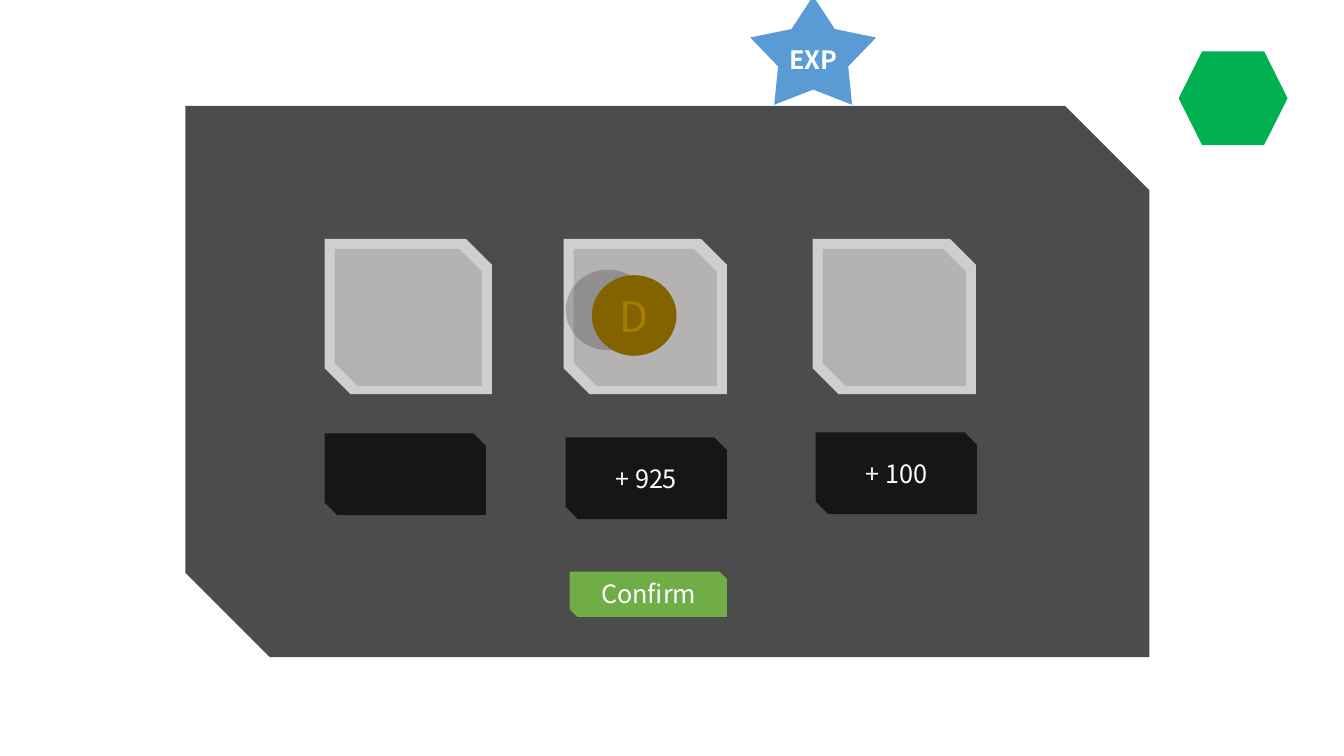
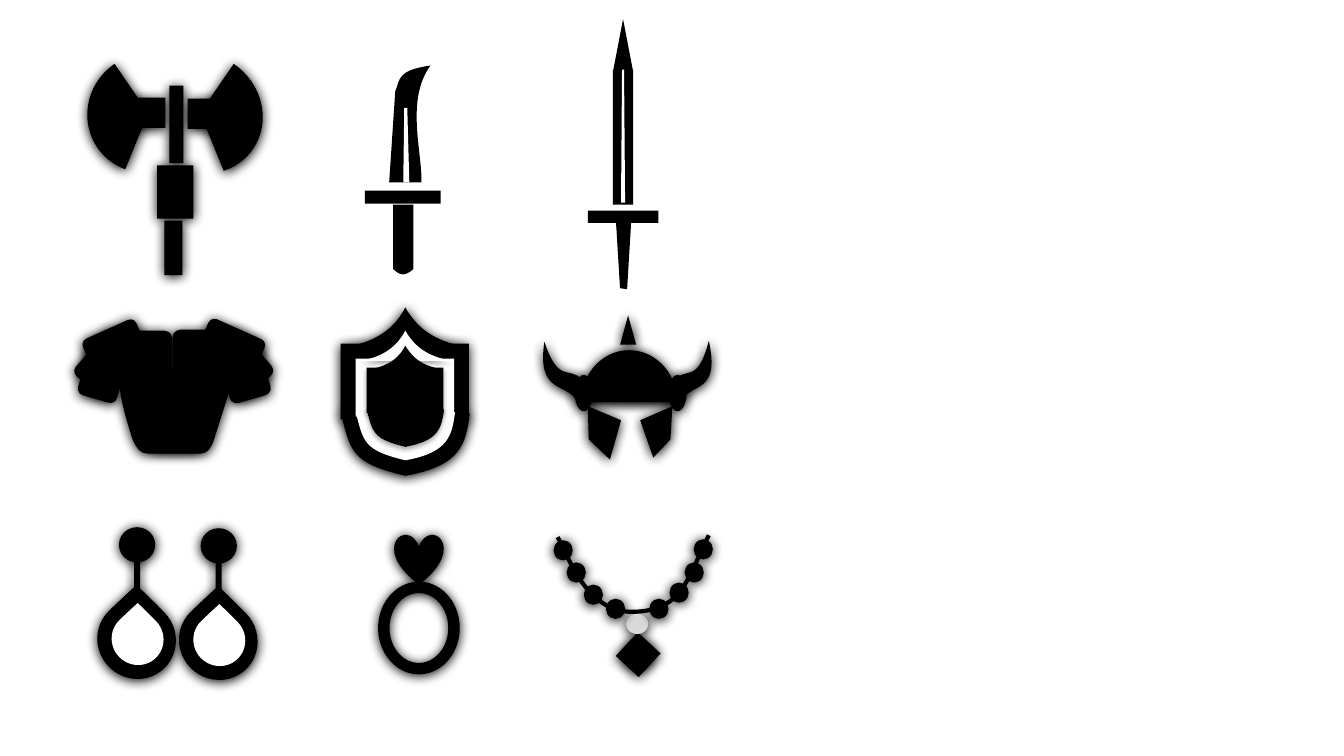
from dataclasses import dataclass
from math import cos, radians, sin

from lxml import etree
from pptx import Presentation
from pptx.dml.color import RGBColor
from pptx.enum.shapes import MSO_SHAPE
from pptx.enum.text import MSO_ANCHOR, PP_ALIGN
from pptx.oxml.ns import qn
from pptx.util import Cm, Pt

RECT = MSO_SHAPE.RECTANGLE
ROUND = MSO_SHAPE.ROUNDED_RECTANGLE
SNIP = MSO_SHAPE.SNIP_2_DIAG_RECTANGLE
OVAL = MSO_SHAPE.OVAL
PIE = MSO_SHAPE.PIE
SPIKE = MSO_SHAPE.ISOSCELES_TRIANGLE
DROP = MSO_SHAPE.TEAR
HEART = MSO_SHAPE.HEART
RING = MSO_SHAPE.DONUT
STAR = MSO_SHAPE.STAR_5_POINT
HEX = MSO_SHAPE.HEXAGON
CENTER = PP_ALIGN.CENTER
MIDDLE = MSO_ANCHOR.MIDDLE


@dataclass(frozen=True)
class Theme:
    font: str = "Noto Sans CJK KR"
    text: int = 18
    large: int = 30
    black: str = "000000"
    white: str = "FFFFFF"
    frame: str = "D0CECE"
    inner: str = "AFABAB"
    green: str = "70AD47"
    gem: str = "00B050"
    blue: str = "5B9BD5"
    coin: str = "826300"
    mark: str = "A47D00"
    pearl: str = "D9D9D9"
    glow: tuple = (100, 8.5, 1, 90)
    soft: tuple = (32, 3.5, 2.2, 90)
    cast: tuple = (20, 0, 19, 192)


THEME = Theme()


def inch(value):
    return Cm(value * 2.54)


def fade(color, alpha):
    etree.SubElement(color, qn("a:alpha"), val=str(alpha * 1000))


def style(shape, fill, glow=None, alpha=100):
    shape.line.fill.background()
    shape.fill.solid()
    shape.fill.fore_color.rgb = RGBColor.from_string(fill)
    props = shape.element.spPr
    if alpha < 100:
        fade(props.find(qn("a:solidFill")).find(qn("a:srgbClr")), alpha)
    shape.shadow.inherit = False
    if glow:
        depth, blur, gap, angle = glow
        cast = etree.SubElement(
            props.find(qn("a:effectLst")), qn("a:outerShdw"),
            blurRad=str(Pt(blur)), dist=str(Pt(gap)),
            dir=str(angle * 60000), algn="ctr", rotWithShape="0")
        color = etree.SubElement(cast, qn("a:srgbClr"), val=THEME.black)
        fade(color, depth)


def put(shapes, kind, box, fill=THEME.black, glow=None, alpha=100,
        adj=(), turn=0, flip=False):
    shape = shapes.add_shape(kind, *map(inch, box))
    style(shape, fill, glow, alpha)
    for index, value in enumerate(adj):
        shape.adjustments[index] = value
    shape.rotation = turn
    if flip:
        shape.element.spPr.find(qn("a:xfrm")).set("flipH", "1")
    return shape


def local(x, y, box, turn):
    left, top, wide, tall = box
    dx, dy = x - left - wide / 2, y - top - tall / 2
    c, s = cos(radians(turn)), sin(radians(turn))
    return wide / 2 + dx * c + dy * s, tall / 2 + dy * c - dx * s


def trace(shapes, box, start, steps, turn=0, close=True):
    left, top, wide, tall = map(inch, box)
    pen = shapes.build_freeform(left, top)
    pen.add_line_segments([(left + wide, top), (left + wide, top + tall),
                           (left, top + tall)])
    shape = pen.convert_to_shape()
    route = next(shape.element.iter(qn("a:path")))
    for node in list(route):
        route.remove(node)
    for index, step in enumerate([start, *steps]):
        tag = "a:cubicBezTo" if len(step) == 6 else "a:lnTo"
        node = etree.SubElement(route, qn(tag if index else "a:moveTo"))
        for x, y in zip(step[::2], step[1::2]):
            px, py = local(x, y, box, turn)
            etree.SubElement(node, qn("a:pt"), x=str(inch(px)), y=str(inch(py)))
    if close:
        etree.SubElement(route, qn("a:close"))
    shape.rotation = turn
    return shape


def carve(shapes, box, start, steps, fill=THEME.black, glow=None, turn=0):
    style(trace(shapes, box, start, steps, turn), fill, glow)


def label(shape, text, size=THEME.text, color=THEME.white, bold=False):
    frame = shape.text_frame
    frame.margin_left = frame.margin_right = 0
    frame.margin_top = frame.margin_bottom = 0
    frame.word_wrap = False
    frame.vertical_anchor = MIDDLE
    line = frame.paragraphs[0]
    line.alignment = CENTER
    run = line.add_run()
    run.text = text
    run.font.name = THEME.font
    run.font.size = Pt(size)
    run.font.bold = bold
    run.font.color.rgb = RGBColor.from_string(color)


def group(shapes):
    return shapes.add_group_shape().shapes


def card(shapes, left, wide):
    part = group(shapes)
    put(part, SNIP, (left, 2.37, wide, 1.54), THEME.frame)
    put(part, SNIP, (left + 0.1, 2.47, wide - 0.2, 1.36), THEME.inner, alpha=80)


def button(shapes):
    part = group(shapes)
    put(part, SNIP, (5.65, 5.67, 1.56, 0.45), THEME.green)
    label(put(part, SNIP, (5.75, 5.69, 1.37, 0.39), THEME.green), "Confirm")


def reward(shapes):
    put(shapes, SNIP, (1.84, 1.05, 9.56, 5.47), alpha=70, adj=(0, 0.153))
    for left, wide in ((3.22, 1.66), (5.59, 1.62), (8.06, 1.62)):
        card(shapes, left, wide)
    button(shapes)
    coin = put(shapes, OVAL, (5.87, 2.73, 0.84, 0.8), THEME.coin, THEME.cast)
    label(coin, "D", THEME.large, THEME.mark)
    put(shapes, HEX, (11.69, 0.51, 1.08, 0.93), THEME.gem)
    for left, top, text in ((3.22, 4.3, ""), (5.61, 4.34, "+ 925"),
                            (8.09, 4.29, "+ 100")):
        plate = put(shapes, SNIP, (left, top, 1.6, 0.81), alpha=70,
                    adj=(0, 0.153))
        if text:
            label(plate, text)
    star = put(shapes, STAR, (7.44, -0.04, 1.25, 1.08), THEME.blue, adj=(0.278,))
    label(star, "EXP", bold=True)


def axe(part):
    for box in ((1.29, 0.97, 0.35, 0.3), (1.86, 0.98, 0.35, 0.3),
                (1.68, 0.85, 0.14, 0.77), (1.56, 1.64, 0.36, 0.53),
                (1.63, 2.19, 0.18, 0.54)):
        put(part, RECT, box, glow=THEME.glow)
    for left, wide, turn, flip in ((0.86, 1.22, 325.6, False),
                                   (1.35, 1.27, 34.4, True)):
        put(part, PIE, (left, 0.53, wide, 1.18), glow=THEME.glow,
            adj=(87.94, 162), turn=turn, flip=flip)


def knife(part):
    carve(part, (3.86, 0.65, 0.41, 1.16), (3.92, 0.91),
          [(3.97, 0.78, 3.94, 0.7, 4.27, 0.65),
           (4.02, 0.99, 4.19, 1.51, 4.18, 1.81), (3.86, 1.81), (3.92, 0.91)])
    put(part, RECT, (3.93, 1.58, 0.13, 0.75), turn=270)
    carve(part, (3.9, 2.03, 0.2, 0.69), (3.9, 2.03),
          [(4.1, 2.03), (4.1, 2.67), (4.06, 2.7, 4, 2.77, 3.9, 2.67),
           (3.9, 2.03)])
    carve(part, (4, 1.07, 0.07, 0.74), (4.01, 1.07),
          [(4.04, 1.07), (4.06, 1.81), (4, 1.81), (4.01, 1.07)], THEME.white)


def sword(part):
    put(part, RECT, (6.12, 1.8, 0.12, 0.7), turn=90)
    carve(part, (6.11, 2.21, 0.15, 0.66), (6.11, 2.21),
          [(6.26, 2.21), (6.22, 2.87), (6.15, 2.86), (6.11, 2.21)])
    put(part, RECT, (6.08, 0.69, 0.2, 1.34))
    put(part, SPIKE, (6.08, 0.19, 0.2, 0.52))
    carve(part, (6.16, 0.69, 0.04, 1.32), (6.17, 0.69),
          [(6.19, 0.69), (6.2, 2.01), (6.16, 2.01), (6.17, 0.69)], THEME.white)


def armor(part):
    carve(part, (1.18, 3.68, 1.13, 0.83), (1.18, 3.74),
          [(1.18, 3.67, 1.39, 3.68, 1.46, 3.68), (1.99, 3.68),
           (2.06, 3.68, 2.31, 3.7, 2.31, 3.77), (2.12, 4.37),
           (2.09, 4.45, 2.06, 4.5, 1.99, 4.5), (1.46, 4.5),
           (1.39, 4.5, 1.36, 4.45, 1.32, 4.37),
           (1.26, 4.19, 1.18, 3.93, 1.18, 3.74)], glow=THEME.glow)
    for box, turn, flip in (((1.13, 3.28, 0.58, 0.49), 0, False),
                            ((1.71, 3.27, 0.62, 0.49), 0, False),
                            ((0.74, 3.48, 0.58, 0.4), 286.1, False),
                            ((0.76, 3.4, 0.58, 0.4), 310.8, False),
                            ((0.85, 3.25, 0.58, 0.38), 335.8, False),
                            ((2.13, 3.47, 0.58, 0.42), 73.9, True),
                            ((2.1, 3.39, 0.58, 0.42), 49.2, True),
                            ((1.99, 3.25, 0.61, 0.38), 24.2, True)):
        put(part, ROUND, box, glow=THEME.glow, turn=turn, flip=flip)
    for row, wide in enumerate((0.67, 0.59, 0.52, 0.45)):
        put(part, ROUND, (1.74 - wide / 2, 3.82 + row * 0.17, wide, 0.14),
            glow=THEME.glow)


def helmet(part):
    glow = THEME.glow
    put(part, PIE, (5.73, 3.51, 1.02, 0.95), glow=glow, adj=(54.08, 162), turn=90)
    put(part, SPIKE, (6.15, 3.13, 0.16, 0.29), glow=glow)
    for box, turn, start, steps in (
            ((6.35, 4.03, 0.33, 0.51), 0, (6.67, 4.03),
             [(6.35, 4.17), (6.48, 4.54), (6.65, 4.36)]),
            ((5.35, 3.42, 0.42, 0.52), 292.2, (5.72, 3.98),
             [(5.63, 3.79, 5.32, 3.92, 5.4, 3.39),
              (5.54, 3.81, 5.64, 3.63, 5.77, 3.76)]),
            ((6.68, 3.43, 0.43, 0.51), 245, (6.76, 3.98),
             [(6.84, 3.79, 7.15, 3.92, 7.03, 3.38),
              (6.92, 3.81, 6.81, 3.64, 6.7, 3.76)]),
            ((5.83, 4.03, 0.33, 0.53), 0, (5.83, 4.03),
             [(6.16, 4.17), (6.05, 4.56), (5.84, 4.36)])):
        carve(part, box, start, [*steps, start], glow=glow, turn=turn)
    put(part, RECT, (5.79, 3.83, 0.91, 0.16), glow=glow)
    put(part, RECT, (6.05, 3.6, 0.37, 0.17), glow=glow, turn=90)
    for left in (5.7, 6.63):
        put(part, OVAL, (left, 3.72, 0.18, 0.36), glow=glow)


def shield(part):
    for scale, level, fill, glow in ((1, 4.05, THEME.black, THEME.glow),
                                     (0.77, 4.05, THEME.white, THEME.soft),
                                     (0.6, 4.03, THEME.black, THEME.soft)):
        def fit(*values):
            return tuple((level if index % 2 else 4.02) + value * scale
                         for index, value in enumerate(values))

        def area(left, top, wide, tall):
            return (*fit(left, top), wide * scale, tall * scale)

        put(part, RECT, area(-0.64, -0.64, 1.27, 0.75), fill, glow)
        carve(part, area(-0.59, -1, 1.17, 0.39), fit(-0.59, -0.61),
              [fit(-0.4, -0.64, -0.14, -0.72, 0, -1),
               fit(0.16, -0.72, 0.38, -0.66, 0.58, -0.61),
               fit(-0.59, -0.61)], fill, glow)
        carve(part, area(-0.64, 0.05, 1.28, 0.63), fit(0.64, 0.05),
              [fit(0.6, 0.35, 0.56, 0.57, 0, 0.67),
               fit(-0.55, 0.54, -0.54, 0.42, -0.64, 0.05),
               fit(0.64, 0.05)], fill, glow, 180)


def earring(part):
    for dx, dy in ((0, 0), (0.81, 0.01)):
        for kind, box, fill, turn in (
                (OVAL, (1.18, 5.23, 0.36, 0.35), THEME.black, 0),
                (RECT, (1.33, 5.53, 0.06, 0.32), THEME.black, 0),
                (DROP, (0.97, 5.95, 0.77, 0.79), THEME.black, 315.7),
                (DROP, (1.11, 6.08, 0.51, 0.52), THEME.white, 315.7)):
            left, top, wide, tall = box
            put(part, kind, (left + dx, top + dy, wide, tall), fill, THEME.glow,
                adj=(0.98,) if kind == DROP else (), turn=turn)


def ring(part):
    put(part, RING, (3.75, 5.77, 0.81, 0.92), glow=THEME.glow, adj=(0.14,))
    put(part, HEART, (3.91, 5.3, 0.49, 0.5), glow=THEME.glow)


def necklace(part):
    put(part, RECT, (6.17, 6.34, 0.32, 0.31), glow=THEME.glow, turn=312.8)
    put(part, RECT, (6.23, 6.39, 0.21, 0.2), glow=THEME.glow, turn=359.8)
    cord = trace(part, (5.67, 4.81, 1.2, 1.27), (7.03, 5.31),
                 [(6.81, 5.75, 6.77, 6.06, 6.28, 6.07),
                  (5.8, 6.08, 5.63, 5.49, 5.53, 5.33)], 130.9, False)
    cord.fill.background()
    cord.line.color.rgb = RGBColor.from_string(THEME.black)
    cord.line.width = Pt(3)
    cord.shadow.inherit = False
    put(part, OVAL, (6.21, 6.09, 0.22, 0.2), THEME.pearl, THEME.glow)
    put(part, HEART, (6.25, 6.43, 0.17, 0.13), glow=THEME.glow)
    for left, top in ((5.49, 5.36), (5.62, 5.58), (5.79, 5.8), (6.01, 5.94),
                      (6.44, 5.94), (6.64, 5.78), (6.79, 5.58), (6.88, 5.35)):
        put(part, OVAL, (left, top, 0.19, 0.2), glow=THEME.glow)


def icons(shapes):
    for draw in (axe, knife, sword, armor, helmet, shield, earring, ring,
                 necklace):
        draw(group(shapes))


def main():
    deck = Presentation()
    deck.slide_width = inch(13.33)
    deck.slide_height = inch(7.5)
    for draw in (reward, icons):
        draw(deck.slides.add_slide(deck.slide_layouts[6]).shapes)
    deck.save("out.pptx")


if __name__ == "__main__":
    main()
